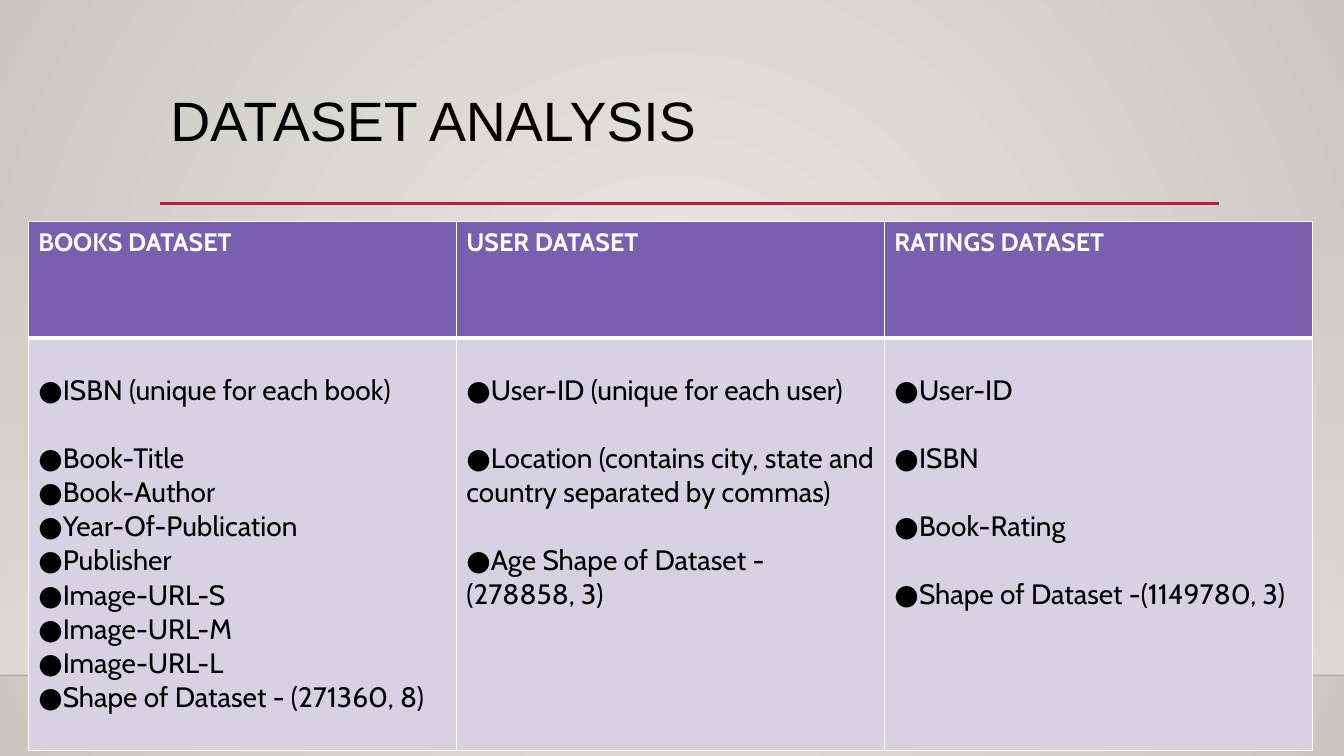
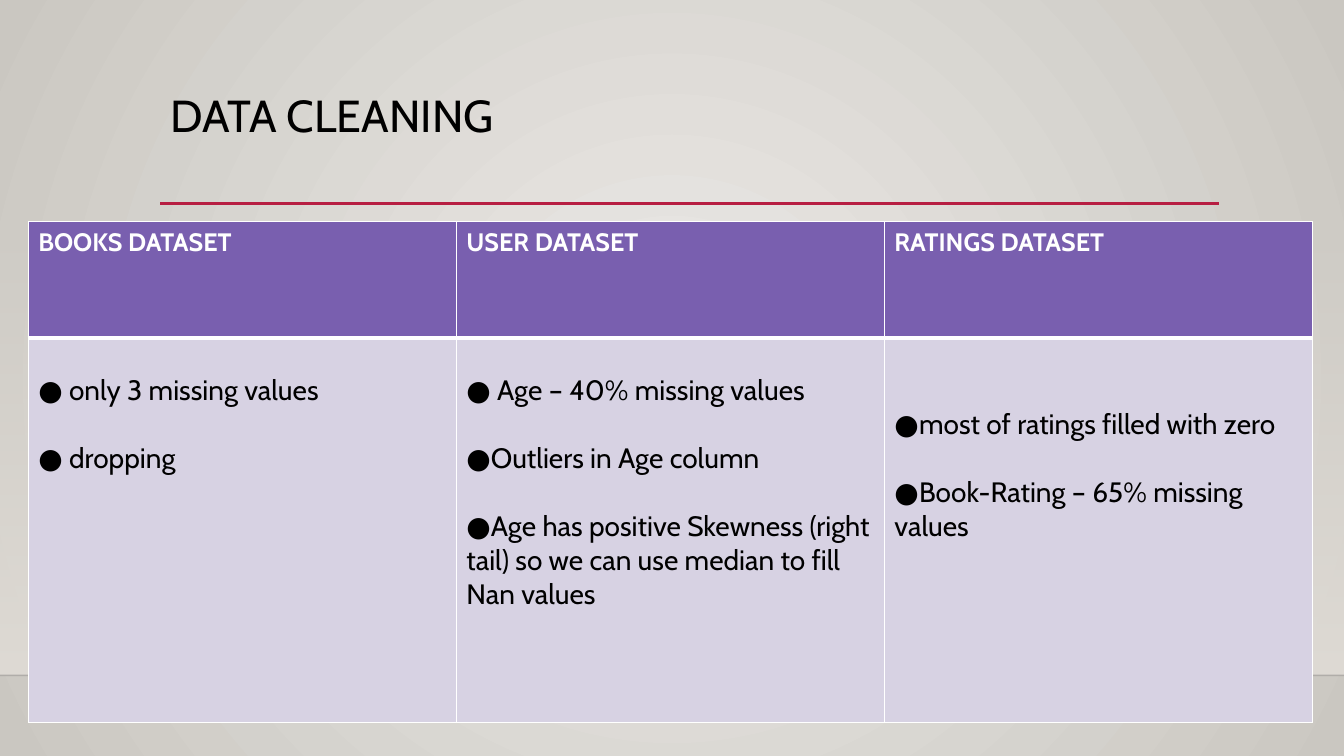
import dataclasses
import lxml.etree
import pptx
import pptx.dml.color
import pptx.enum.shapes
import pptx.enum.text
import pptx.oxml.ns
import pptx.util

Cm = pptx.util.Cm
Pt = pptx.util.Pt
qn = pptx.oxml.ns.qn
rgb = pptx.dml.color.RGBColor.from_string


@dataclasses.dataclass(frozen=True)
class Theme:
    glow: str = "ECEAE7"
    edge: str = "CAC7C1"
    wall: str = "DFDBD5"
    floor_line: str = "000001"
    accent: str = "B71E42"
    header: str = "795FAF"
    body: str = "D7D2E3"
    light: str = "FFFFFF"
    ink: str = "000000"
    font: str = "Cabin"
    header_size: float = 18
    body_size: float = 20
    gap: float = 24.3
    first_gap: float = 25.5


theme = Theme()


def add_child(parent, tag, **attributes):
    child = lxml.etree.SubElement(parent, qn(tag))
    for key, value in attributes.items():
        child.set(key, str(value))
    return child


def add_text(paragraph, text, font, size, color, bold=False):
    run = paragraph.add_run()
    run.text = text
    run.font.name = font
    run.font.size = Pt(size)
    run.font.bold = bold
    run.font.color.rgb = rgb(color)


headings = ["BOOKS DATASET", "USER DATASET", "RATINGS DATASET"]

# Each column: blank lines above the list, then (text, has gap above) pairs
topics = [
    ("DATASET ANALYSIS", "Arial", 39.6, 10.41, [
        (1, [("●ISBN (unique for each book)", False),
             ("●Book-Title", True),
             ("●Book-Author", False),
             ("●Year-Of-Publication", False),
             ("●Publisher", False),
             ("●Image-URL-S", False),
             ("●Image-URL-M", False),
             ("●Image-URL-L", False),
             ("●Shape of Dataset - (271360, 8)", False)]),
        (1, [("●User-ID (unique for each user)", False),
             ("●Location (contains city, state and country separated by commas)", True),
             ("●Age Shape of Dataset - (278858, 3)", True)]),
        (1, [("●User-ID", False),
             ("●ISBN", True),
             ("●Book-Rating", True),
             ("●Shape of Dataset -(1149780, 3)", True)]),
    ]),
    ("DATA CLEANING", theme.font, 32, 9.7, [
        (1, [("● only 3 missing values", False),
             ("● dropping", True)]),
        (1, [("● Age – 40% missing values", False),
             ("●Outliers in Age column", True),
             ("●Age has positive Skewness (right tail) so we can use median to fill Nan values", True)]),
        (2, [("●most of ratings filled with zero", False),
             ("●Book-Rating – 65% missing values", True)]),
    ]),
]

prs = pptx.Presentation()
prs.slide_width = Cm(33.87)
prs.slide_height = Cm(19.05)
layout = prs.slide_layouts[5]
slides = [prs.slides.add_slide(layout) for topic in topics]

backdrop = prs.slide_master.background.fill
backdrop.gradient()
for stop, color, position in zip(backdrop.gradient_stops, (theme.glow, theme.edge), (0, 1)):
    stop.color.rgb = rgb(color)
    stop.position = position
radial = prs.slide_master.element.xpath(".//p:bg//a:gradFill")[0]
radial.remove(radial.find(qn("a:lin")))
circle = add_child(radial, "a:path", path="circle")
add_child(circle, "a:fillToRect", l=50000, t=50000, r=50000, b=50000)

stage = slides[0].shapes
wall = stage.add_shape(pptx.enum.shapes.MSO_SHAPE.RECTANGLE, 0, Cm(5.61), prs.slide_width, Cm(11.41))
wall.shadow.inherit = False
wall.line.fill.background()
wall.fill.gradient()
wall.fill.gradient_angle = 270
for stop, position in zip(wall.fill.gradient_stops, (0, 1)):
    stop.color.rgb = rgb(theme.wall)
    stop.position = position
add_child(wall.element.xpath(".//a:gs/a:srgbClr")[0], "a:alpha", val=0)

scenery = [wall]
for left, right, top, color, width, opacity in [
    (0, 33.87, 17.02, theme.floor_line, 1, 20),
    (4.04, 30.73, 5.13, theme.accent, 2.5, 100),
]:
    rule = stage.add_connector(pptx.enum.shapes.MSO_CONNECTOR.STRAIGHT, Cm(left), Cm(top), Cm(right), Cm(top))
    rule.line.color.rgb = rgb(color)
    rule.line.width = Pt(width)
    add_child(rule.element.xpath(".//a:ln//a:srgbClr")[0], "a:alpha", val=opacity * 1000)
    add_child(rule.element.spPr, "a:effectLst")
    scenery.append(rule)

for order, part in enumerate(scenery):
    part.element.xpath(".//p:cNvPr")[0].set("id", str(100 + order))
    layout.shapes.element.insert(2 + order, part.element)

for slide, (heading, heading_font, heading_size, body_height, columns) in zip(slides, topics):
    title = slide.shapes.title
    title.left, title.top, title.width, title.height = Cm(4.04), Cm(2.24), Cm(26.67), Cm(2.92)
    title.text_frame.vertical_anchor = pptx.enum.text.MSO_ANCHOR.TOP
    title.text_frame.auto_size = pptx.enum.text.MSO_AUTO_SIZE.NONE
    title_line = title.text_frame.paragraphs[0]
    title_line.alignment = pptx.enum.text.PP_ALIGN.LEFT
    title_line.line_spacing = 0.9
    add_text(title_line, heading, heading_font, heading_size, theme.ink)

    datasets = slide.shapes.add_table(
        2, len(headings), Cm(0.71), Cm(5.59), Cm(32.37), Cm(2.92 + body_height)).table
    datasets.horz_banding = False
    datasets.rows[0].height = Cm(2.92)
    datasets.rows[1].height = Cm(body_height)

    for index, (name, (blank_lines, items)) in enumerate(zip(headings, columns)):
        datasets.columns[index].width = Cm(10.79)
        for row, color, thick_side in [(0, theme.header, "B"), (1, theme.body, "T")]:
            cell = datasets.cell(row, index)
            properties = cell._tc.get_or_add_tcPr()
            for side in "LRTB":
                border = add_child(properties, f"a:ln{side}", w=Pt(3 if side == thick_side else 1))
                add_child(add_child(border, "a:solidFill"), "a:srgbClr", val=theme.light)
            cell.fill.solid()
            cell.fill.fore_color.rgb = rgb(color)

        header = datasets.cell(0, index).text_frame.paragraphs[0]
        add_text(header, name, theme.font, theme.header_size, theme.light, True)

        body = datasets.cell(1, index)
        body.margin_top = Pt(theme.first_gap + (blank_lines - 1) * theme.gap)
        for number, (item, gap_above) in enumerate(items):
            entry = body.text_frame.add_paragraph() if number else body.text_frame.paragraphs[0]
            entry.space_before = Pt(theme.gap if gap_above else 0)
            add_text(entry, item, theme.font, theme.body_size, theme.ink)

prs.save("out.pptx")
